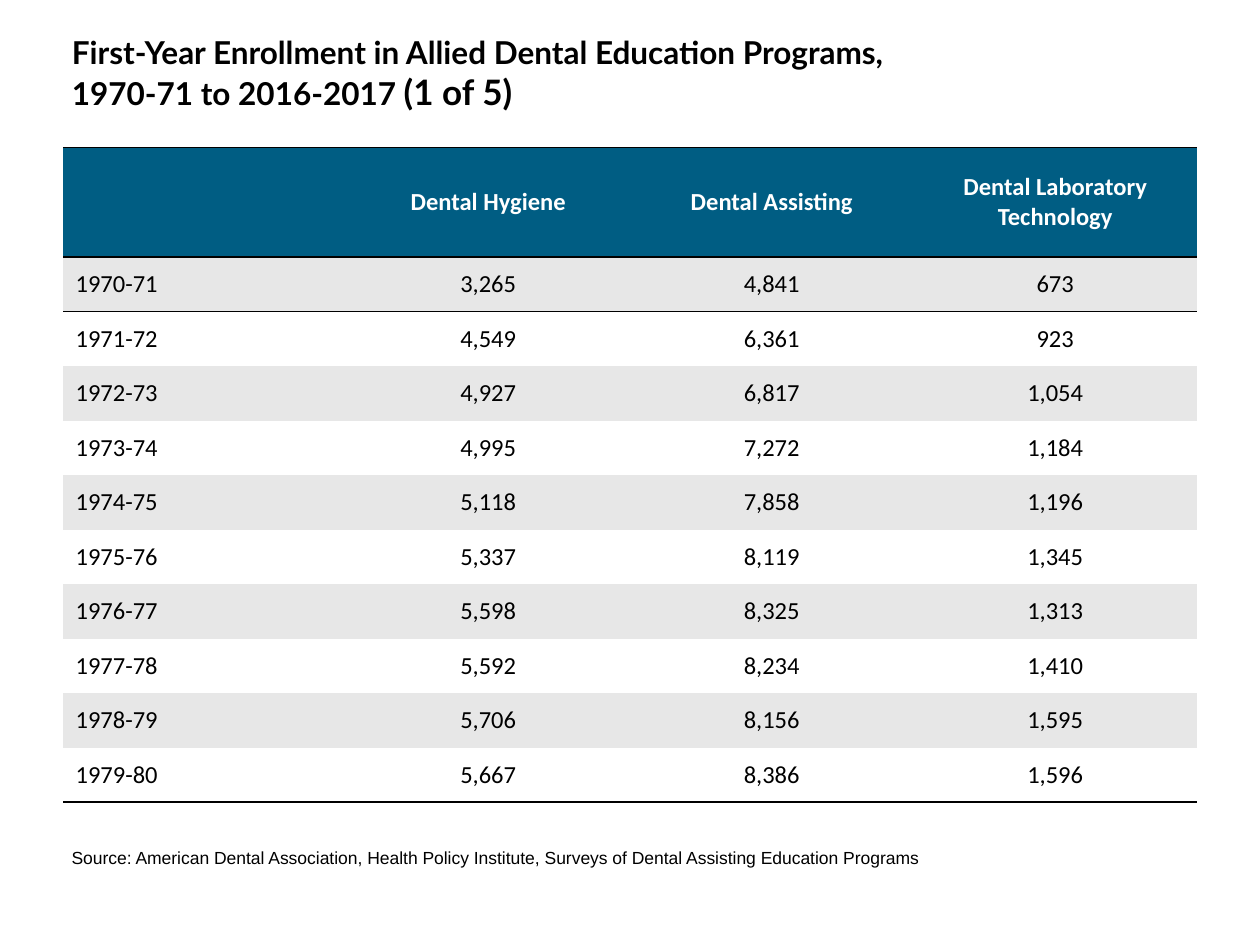
from lxml.etree import SubElement
from pptx import Presentation
from pptx.dml.color import RGBColor
from pptx.enum.text import MSO_ANCHOR, MSO_AUTO_SIZE, PP_ALIGN
from pptx.oxml.ns import qn
from pptx.util import Inches, Pt

BLACK = RGBColor(0x00, 0x00, 0x00)
WHITE = RGBColor(0xFF, 0xFF, 0xFF)
HEADER_BLUE = RGBColor(0x00, 0x5D, 0x83)
BAND_GRAY = RGBColor(0xE7, 0xE7, 0xE7)
PLAIN_TABLE_STYLE = "{2D5ABB26-0587-4C30-8999-92F81FD0307C}"
RULE_WIDTH = Pt(0.96)
HEADER_HEIGHT = Inches(0.87)

HEADERS = ["", "Dental Hygiene", "Dental Assisting", "Dental Laboratory Technology"]
ENROLLMENT = [
    ["1970-71", "3,265", "4,841", "673"],
    ["1971-72", "4,549", "6,361", "923"],
    ["1972-73", "4,927", "6,817", "1,054"],
    ["1973-74", "4,995", "7,272", "1,184"],
    ["1974-75", "5,118", "7,858", "1,196"],
    ["1975-76", "5,337", "8,119", "1,345"],
    ["1976-77", "5,598", "8,325", "1,313"],
    ["1977-78", "5,592", "8,234", "1,410"],
    ["1978-79", "5,706", "8,156", "1,595"],
    ["1979-80", "5,667", "8,386", "1,596"],
]


def add_run(paragraph, text, font_name, size, color=BLACK, bold=False):
    """Append one formatted run to a paragraph."""
    run = paragraph.add_run()
    run.text = text
    run.font.name = font_name
    run.font.size = Pt(size)
    run.font.bold = bold
    run.font.color.rgb = color


def add_rule(cell, side):
    """Draw a black rule on one side of a cell, named by its XML tag."""
    properties = cell._tc.get_or_add_tcPr()
    line = SubElement(properties, qn(side), w=str(RULE_WIDTH))
    fill = SubElement(line, qn("a:solidFill"))
    SubElement(fill, qn("a:srgbClr"), val=str(BLACK))


def place_title(slide, left, top, width, height):
    """Move the title placeholder into its box and write the heading."""
    title = slide.shapes.title
    title.left, title.top, title.width, title.height = left, top, width, height
    frame = title.text_frame
    frame.word_wrap = True
    frame.auto_size = MSO_AUTO_SIZE.NONE
    frame.vertical_anchor = MSO_ANCHOR.MIDDLE
    paragraph = frame.paragraphs[0]
    paragraph.alignment = PP_ALIGN.LEFT
    add_run(paragraph, "First-Year Enrollment in Allied Dental Education Programs, ",
            "Lato", 18, bold=True)
    paragraph.add_line_break()
    add_run(paragraph, "1970-71 to 2016-2017 ", "Lato", 18, bold=True)
    add_run(paragraph, "(1 of 5)", "Lato", 20, bold=True)


def fill_cell(cell, text, alignment, background, color, bold):
    """Set the background and text of one table cell."""
    cell.fill.solid()
    cell.fill.fore_color.rgb = background
    cell.vertical_anchor = MSO_ANCHOR.MIDDLE
    paragraph = cell.text_frame.paragraphs[0]
    paragraph.alignment = alignment
    if text:
        add_run(paragraph, text, "Calibri", 14, color, bold)


def place_enrollment_table(slide, left, top, width, height):
    """Add the enrollment table with a tall header and banded rows."""
    rows = [HEADERS] + ENROLLMENT
    last = len(rows) - 1
    frame = slide.shapes.add_table(len(rows), len(HEADERS), left, top, width, height)
    table = frame.table
    table._tbl.tblPr.find(qn("a:tableStyleId")).text = PLAIN_TABLE_STYLE
    for row_index, values in enumerate(rows):
        is_header = row_index == 0
        table.rows[row_index].height = (
            HEADER_HEIGHT if is_header else (height - HEADER_HEIGHT) // last)
        background = HEADER_BLUE if is_header else BAND_GRAY if row_index % 2 else WHITE
        for column_index, text in enumerate(values):
            cell = table.cell(row_index, column_index)
            if row_index <= 1:
                add_rule(cell, "a:lnT")
            if row_index in (0, last):
                add_rule(cell, "a:lnB")
            alignment = PP_ALIGN.CENTER if column_index else PP_ALIGN.LEFT
            fill_cell(cell, text, alignment, background,
                      WHITE if is_header else BLACK, is_header)


def place_source(slide, left, top, width, height):
    """Add the source line below the table."""
    frame = slide.shapes.add_textbox(left, top, width, height).text_frame
    frame.word_wrap = True
    frame.auto_size = MSO_AUTO_SIZE.SHAPE_TO_FIT_TEXT
    add_run(frame.paragraphs[0],
            "Source: American Dental Association, Health Policy Institute, "
            "Surveys of Dental Assisting Education Programs", "Arial", 10)


def main():
    """Build and save the enrollment slide."""
    presentation = Presentation()
    presentation.slide_width, presentation.slide_height = Inches(10), Inches(7.5)
    slide = presentation.slides.add_slide(presentation.slide_layouts[5])
    place_title(slide, Inches(0.47), Inches(0.22), Inches(8.54), Inches(0.71))
    place_source(slide, Inches(0.47), Inches(6.67), Inches(10), Inches(0.27))
    place_enrollment_table(slide, Inches(0.5), Inches(1.17), Inches(9), Inches(5.2))
    presentation.save("out.pptx")


if __name__ == "__main__":
    main()
